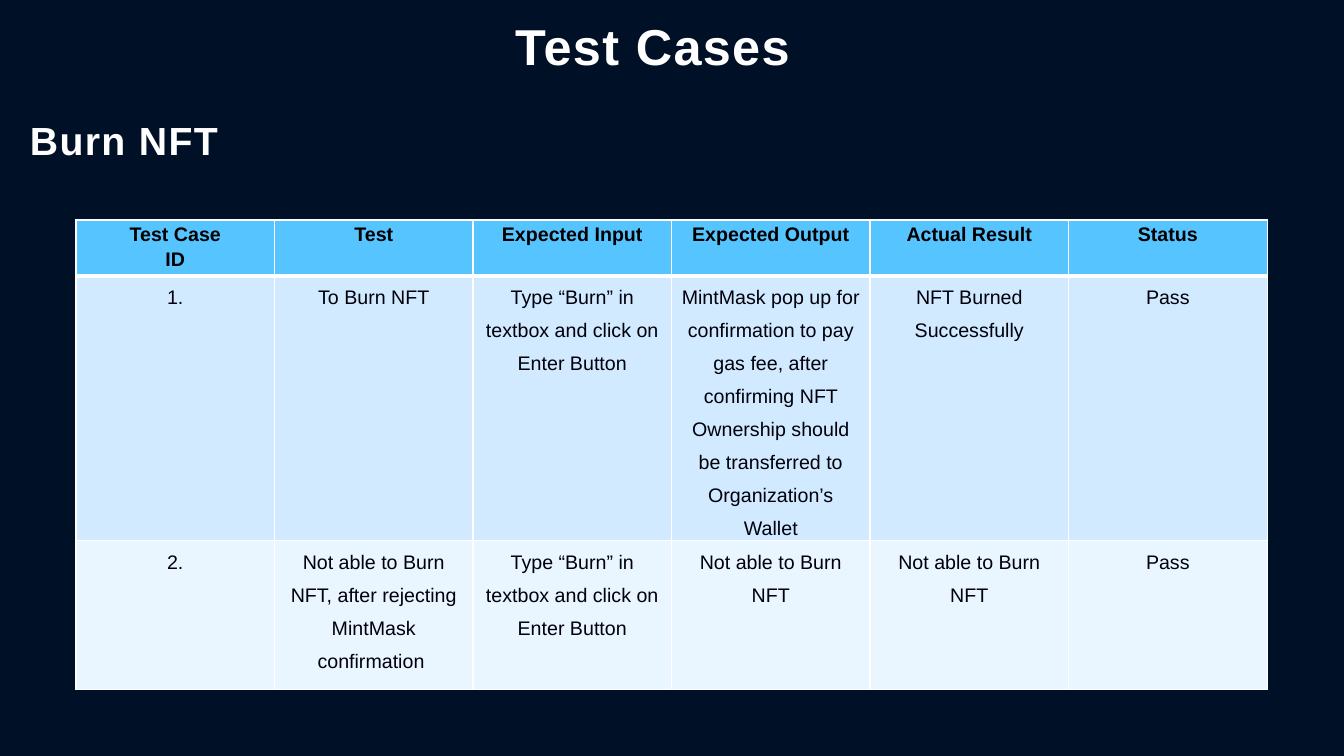
from lxml import etree
from pptx import Presentation, util as u
from pptx.dml.color import RGBColor
from pptx.enum import text
from pptx.oxml.ns import qn

# Content
TITLE = "Test Cases"
SUBTITLE = "Burn NFT"
ROWS = [
    ("Test Case\nID", "Test", "Expected Input", "Expected Output",
     "Actual Result", "Status"),
    ("1.", "To Burn NFT",
     "Type “Burn” in textbox and click on Enter Button",
     "MintMask pop up for confirmation to pay gas fee, after confirming NFT "
     "Ownership should be transferred to Organization’s Wallet",
     "NFT Burned Successfully", "Pass"),
    ("2.", "Not able to Burn NFT, after rejecting MintMask confirmation ",
     "Type “Burn” in textbox and click on Enter Button",
     "Not able to Burn NFT", "Not able to Burn NFT", "Pass"),
]

# Look; lengths in px
FONT = "Arial"
NAVY = RGBColor(0x00, 0x10, 0x27)
WHITE = RGBColor(0xFF, 0xFF, 0xFF)
BLACK = RGBColor(0x00, 0x00, 0x00)
INK = RGBColor(0x00, 0x00, 0x0A)
ROW_FILLS = [RGBColor(0x56, 0xC5, 0xFF), RGBColor(0xD1, 0xEA, 0xFF),
             RGBColor(0xE9, 0xF5, 0xFF)]
ROW_HEIGHTS = [56, 231, 149]
TITLE_BOX = (450, 5, 405, 80)
SUBTITLE_BOX = (13, 108, 222, 64)
TABLE_LEFT, TABLE_TOP, TABLE_WIDTH = 76, 220, 1191
CELL_INSET = 7


def px(length):
    return u.Emu(round(length * 914400 / 100.8))


def set_font(para, size, color, bold):
    para.alignment = text.PP_ALIGN.CENTER
    para.font.name = FONT
    para.font.size = u.Pt(size)
    para.font.bold = bold
    para.font.color.rgb = color


def write_heading(shape, words, size, box):
    shape.left, shape.top, shape.width, shape.height = map(px, box)
    frame = shape.text_frame
    frame.word_wrap = True
    frame.auto_size = text.MSO_AUTO_SIZE.NONE
    frame.vertical_anchor = text.MSO_ANCHOR.MIDDLE
    para = frame.paragraphs[0]
    span = para.add_run()
    span.text = words
    span.font._element.set("spc", "100")
    set_font(para, size, WHITE, True)


def set_borders(cell, widths):
    """Draw white cell edges, widths in points by side."""
    props = cell._tc.get_or_add_tcPr()
    for place, (side, width) in enumerate(widths.items()):
        line = etree.Element(qn("a:ln" + side), w=str(u.Pt(width)))
        fill = etree.SubElement(line, qn("a:solidFill"))
        etree.SubElement(fill, qn("a:srgbClr"), val=str(WHITE))
        props.insert(place, line)


def write_cell(cell, words, row):
    header = row == 0
    cell.text = words
    cell.margin_left = cell.margin_right = px(CELL_INSET)
    cell.margin_top = cell.margin_bottom = 0
    for para in cell.text_frame.paragraphs:
        para.line_spacing = 1.15 if header else 1.5
        set_font(para, 14, BLACK if header else INK, header)
    cell.fill.solid()
    cell.fill.fore_color.rgb = ROW_FILLS[row]
    set_borders(cell, {"L": 1, "R": 1, "T": 3 if row == 1 else 1,
                       "B": 3 if header else 1})


# Slide
deck = Presentation()
deck.slide_width, deck.slide_height = u.Inches(13.33), u.Inches(7.5)
page = deck.slides.add_slide(deck.slide_layouts[5])
page.background.fill.solid()
page.background.fill.fore_color.rgb = NAVY

# Headings
write_heading(page.shapes.title, TITLE, 36, TITLE_BOX)
subtitle = page.shapes.add_textbox(0, 0, 0, 0)
write_heading(subtitle, SUBTITLE, 28, SUBTITLE_BOX)

# Test case table
table = page.shapes.add_table(
    len(ROWS), len(ROWS[0]), px(TABLE_LEFT), px(TABLE_TOP),
    px(TABLE_WIDTH), px(sum(ROW_HEIGHTS))).table
for column in table.columns:
    column.width = px(TABLE_WIDTH / len(ROWS[0]))
for row, (height, entries) in enumerate(zip(ROW_HEIGHTS, ROWS)):
    table.rows[row].height = px(height)
    for col, words in enumerate(entries):
        write_cell(table.cell(row, col), words, row)

deck.save("out.pptx")
